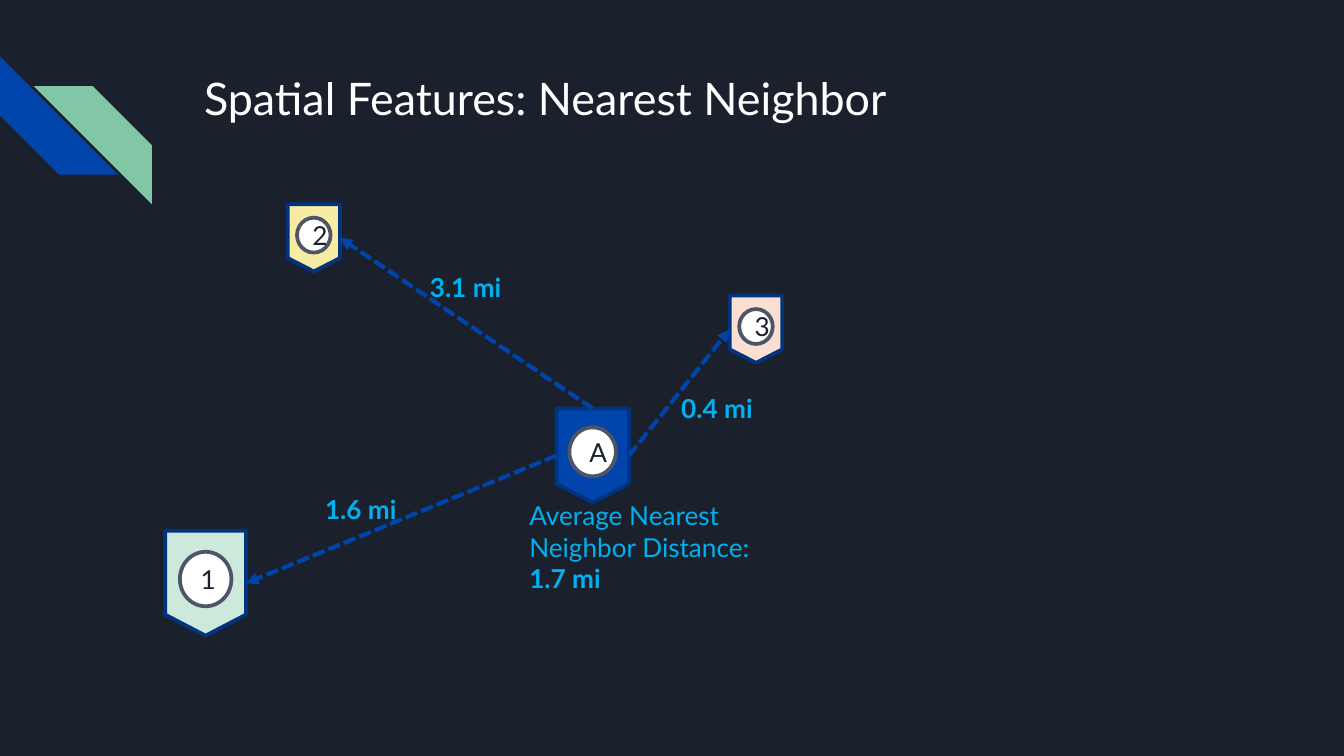
from lxml import etree
from pptx import Presentation
from pptx import util as u
from pptx.dml.color import RGBColor
from pptx.enum import shapes, text
from pptx.oxml.ns import qn

BACKGROUND = RGBColor(0x1B, 0x21, 0x2C)
WHITE = RGBColor(0xFF, 0xFF, 0xFF)
BLUE = RGBColor(0x01, 0x45, 0xAC)
GREEN = RGBColor(0x82, 0xC7, 0xA5)
NAVY = RGBColor(0x01, 0x33, 0x7F)
GRAY = RGBColor(0x4E, 0x55, 0x67)
ROUTE = RGBColor(0x00, 0x43, 0xA9)
CYAN = RGBColor(0x00, 0xB0, 0xF0)
PINK = RGBColor(0xFC, 0xDF, 0xD3)
YELLOW = RGBColor(0xF8, 0xEB, 0xA3)
MINT = RGBColor(0xCD, 0xE9, 0xDB)
FONT = "Lato"
KIND = shapes.MSO_SHAPE


def add_shape(s, kind, box, fill, line=None):
    """Add a flat preset shape with an optional 2 pt outline."""
    sp = s.shapes.add_shape(kind, *map(u.Inches, box))
    sp.shadow.inherit = False
    sp.fill.solid()
    sp.fill.fore_color.rgb = fill
    if line is None:
        sp.line.fill.background()
    else:
        sp.line.color.rgb = line
        sp.line.width = u.Pt(2)
    return sp


def style(r, size, color, bold=False):
    """Format one run."""
    r.font.name = FONT
    r.font.size = u.Pt(size)
    r.font.color.rgb = color
    r.font.bold = bold


def add_text(s, box, parts, size, color):
    """Add a wrapped text box of (wording, bold) runs."""
    tf = s.shapes.add_textbox(*map(u.Inches, box)).text_frame
    tf.word_wrap = True
    for wording, bold in parts:
        r = tf.paragraphs[0].add_run()
        r.text = wording
        style(r, size, color, bold)
    return tf


def add_stripes(s, x, y, size):
    """Draw the two mirrored corner stripes."""
    blue = add_shape(s, KIND.DIAGONAL_STRIPE, (x, y, size, size), BLUE)
    blue.rotation = 270
    green = add_shape(s, KIND.DIAGONAL_STRIPE, (x + 0.25, y + 0.22, size, size), GREEN)
    green._element.spPr.find(qn("a:xfrm")).set("flipH", "1")


def add_title(s, box):
    """Write the slide title."""
    tf = add_text(s, box, [("Spatial Features: Nearest Neighbor", False)], 24, WHITE)
    tf.margin_top = tf.margin_bottom = u.Inches(0.1)


def add_pin(s, box, label, fill):
    """Draw a map pin with a labelled disc inside its box."""
    x, y, w, h = box
    pin = add_shape(s, KIND.FLOWCHART_OFFPAGE_CONNECTOR, box, fill, NAVY)
    disc_box = (x + 0.18 * w, y + 0.2 * h, 0.64 * w, 0.52 * h)
    disc = add_shape(s, KIND.OVAL, disc_box, WHITE, GRAY)
    tf = disc.text_frame
    tf.text = label
    tf.vertical_anchor = text.MSO_ANCHOR.MIDDLE
    p = tf.paragraphs[0]
    p.alignment = text.PP_ALIGN.CENTER
    style(p.runs[0], 14, BACKGROUND)
    return pin


def add_route(s, start, start_site, end, end_site):
    """Join two pins with a dashed arrow."""
    route = s.shapes.add_connector(shapes.MSO_CONNECTOR.STRAIGHT, 0, 0, 0, 0)
    route.begin_connect(start, start_site)
    route.end_connect(end, end_site)
    route.line.color.rgb = ROUTE
    route.line.width = u.Pt(2.25)
    spPr = route._element.spPr
    ln = spPr.find(qn("a:ln"))
    etree.SubElement(ln, qn("a:prstDash")).set("val", "sysDash")
    etree.SubElement(ln, qn("a:tailEnd")).set("type", "triangle")
    etree.SubElement(spPr, qn("a:effectLst"))


def add_map(s, x, y):
    """Draw the pins, routes and distances of the neighbor map."""
    origin = add_pin(s, (x + 2.91, y + 1.52, 0.54, 0.7), "A", BLUE)
    neighbors = [
        ("3", (4.2, 0.68, 0.39, 0.5), PINK, 3, 1, "0.4 mi", (3.74, 1.35)),
        ("2", (0.91, 0, 0.39, 0.5), YELLOW, 0, 3, "3.1 mi", (1.87, 0.45)),
        ("1", (0, 2.43, 0.6, 0.78), MINT, 1, 3, "1.6 mi", (1.09, 2.1)),
    ]
    for label, (dx, dy, w, h), fill, start, end, distance, (tx, ty) in neighbors:
        pin = add_pin(s, (x + dx, y + dy, w, h), label, fill)
        add_route(s, origin, start, pin, end)
        add_text(s, (x + tx, y + ty, 0.88, 0.34), [(distance, True)], 14, CYAN)
    average = [("Average Nearest Neighbor Distance: ", False), ("1.7 mi", True)]
    add_text(s, (x + 2.61, y + 2.15, 2.14, 0.81), average, 14, CYAN)


def main():
    """Build and save the slide."""
    prs = Presentation()
    prs.slide_width = u.Inches(10)
    prs.slide_height = u.Inches(10) * 9 // 16
    s = prs.slides.add_slide(prs.slide_layouts[6])
    s.background.fill.solid()
    s.background.fill.fore_color.rgb = BACKGROUND
    add_stripes(s, 0, 0.42, 0.88)
    add_title(s, (1.42, 0.43, 7.7, 1))
    add_map(s, 1.23, 1.52)
    prs.save("out.pptx")


if __name__ == "__main__":
    main()
